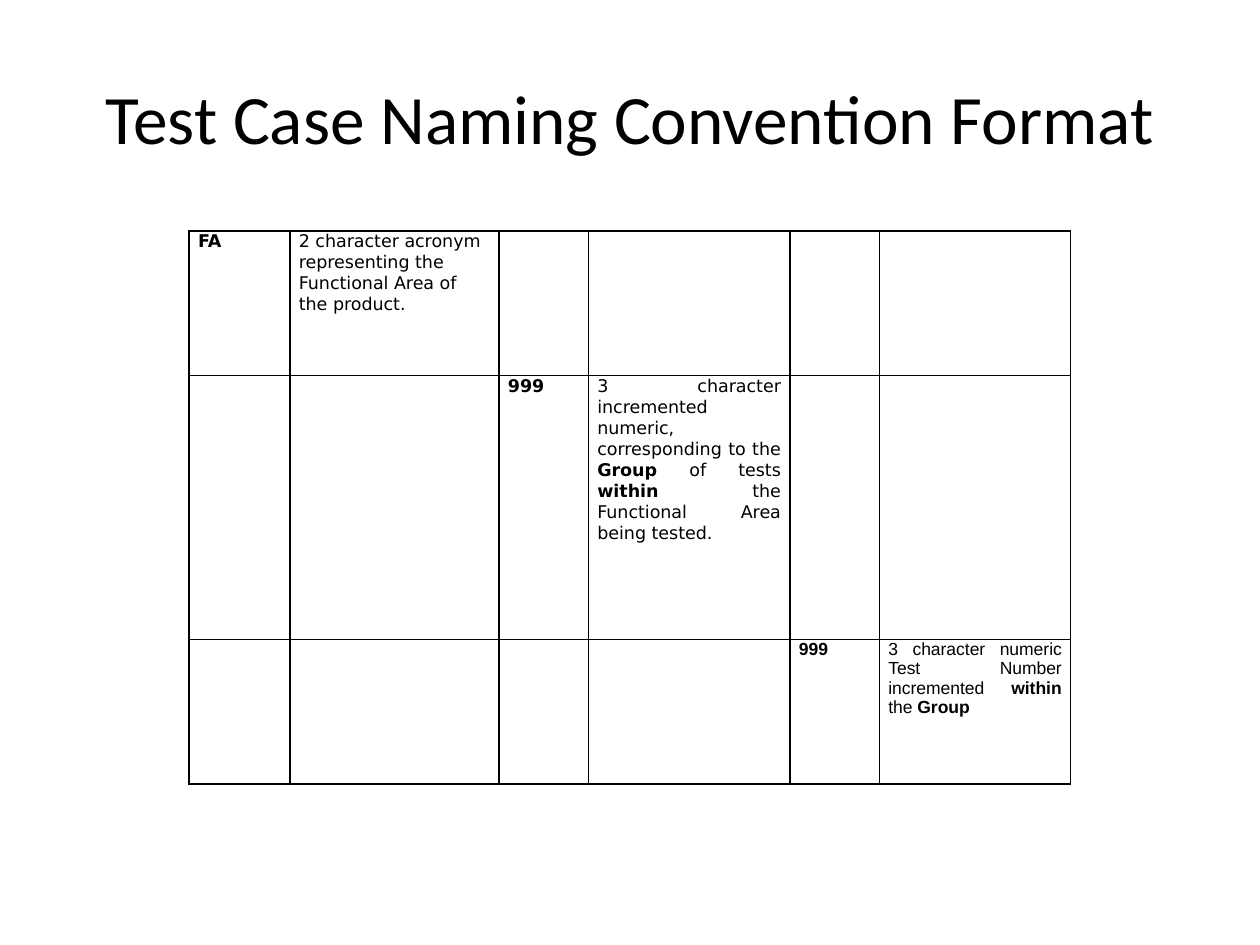
from dataclasses import dataclass

from lxml import etree
from pptx import Presentation
from pptx.dml.color import RGBColor
from pptx.enum.text import MSO_ANCHOR, PP_ALIGN
from pptx.oxml.ns import qn
from pptx.util import Pt

LEFT, MID, JUST = PP_ALIGN.LEFT, PP_ALIGN.CENTER, PP_ALIGN.JUSTIFY
CENTER = MSO_ANCHOR.MIDDLE


@dataclass(frozen=True)
class Theme:
    ink: str = "000000"
    head: str = "Calibri"
    sans: str = "DejaVu Sans"
    alt: str = "Arial"
    big: float = 39.6
    small: float = 10
    lead: float = 12
    line: float = 1
    pad: float = 5.2


@dataclass(frozen=True)
class Entry:
    """Text for one cell; every second run, from the second on, is bold."""
    row: int
    col: int
    runs: tuple[str, ...]
    font: str
    align: PP_ALIGN = JUST
    lead: float | None = None


THEME = Theme()
COLS = (57.6, 119.5, 51.1, 115.2, 51.1, 109.4)
ROWS = (82.5, 151, 82.5)
ENTRIES = (
    Entry(0, 0, ("", "FA"), THEME.sans, lead=THEME.lead),
    Entry(0, 1, ("2 character acronym representing the Functional Area of the product.",),
          THEME.sans, LEFT, THEME.lead),
    Entry(1, 2, ("", "999"), THEME.sans, lead=THEME.lead),
    Entry(1, 3, ("3 character incremented numeric, corresponding to the ", "Group",
                 " of tests ", "within", " the Functional Area being tested."),
          THEME.sans, lead=THEME.lead),
    Entry(2, 4, ("", "999"), THEME.alt),
    Entry(2, 5, ("3 character numeric Test Number incremented ", "within", " the ", "Group"),
          THEME.alt),
)


def assign(target, values: dict) -> None:
    for name, value in values.items():
        setattr(target, name, value)


def add_run(para, text: str, font: str, size: float, bold: bool = False) -> None:
    run = para.add_run()
    run.text = text
    assign(run.font, {"name": font, "size": Pt(size), "bold": bold})
    run.font.color.rgb = RGBColor.from_string(THEME.ink)


def add_title(slide, text: str) -> None:
    frame = slide.shapes.add_textbox(Pt(36), Pt(21.6), Pt(648), Pt(90)).text_frame
    assign(frame, {"word_wrap": True, "vertical_anchor": CENTER})
    para = frame.paragraphs[0]
    para.alignment = MID
    add_run(para, text, THEME.head, THEME.big)


def style_cell(cell) -> None:
    """Rule all four sides and clear the fill."""
    props = cell._tc.get_or_add_tcPr()
    for side in ("lnL", "lnR", "lnT", "lnB"):
        line = etree.SubElement(props, qn(f"a:{side}"), w=str(Pt(THEME.line)))
        fill = etree.SubElement(line, qn("a:solidFill"))
        etree.SubElement(fill, qn("a:srgbClr"), val=THEME.ink)
    cell.fill.background()
    assign(cell, {"margin_left": Pt(THEME.pad), "margin_right": Pt(THEME.pad),
                  "margin_top": 0, "margin_bottom": 0})


def fill_cell(table, entry: Entry) -> None:
    para = table.cell(entry.row, entry.col).text_frame.paragraphs[0]
    para.alignment = entry.align
    if entry.lead:
        para.line_spacing = Pt(entry.lead)
    for i, text in enumerate(entry.runs):
        if text:
            add_run(para, text, entry.font, THEME.small, i % 2 == 1)


def add_grid(slide) -> None:
    table = slide.shapes.add_table(len(ROWS), len(COLS), Pt(108), Pt(132),
                                   Pt(sum(COLS)), Pt(sum(ROWS))).table
    assign(table, {"first_row": False, "horz_banding": False})
    for col, width in zip(table.columns, COLS):
        col.width = Pt(width)
    for row, height in zip(table.rows, ROWS):
        row.height = Pt(height)
    for cell in table.iter_cells():
        style_cell(cell)
    for entry in ENTRIES:
        fill_cell(table, entry)


def main() -> None:
    deck = Presentation()
    assign(deck, {"slide_width": Pt(720), "slide_height": Pt(540)})
    slide = deck.slides.add_slide(deck.slide_layouts[6])
    add_title(slide, "Test Case Naming Convention Format")
    add_grid(slide)
    deck.save("out.pptx")


if __name__ == "__main__":
    main()
